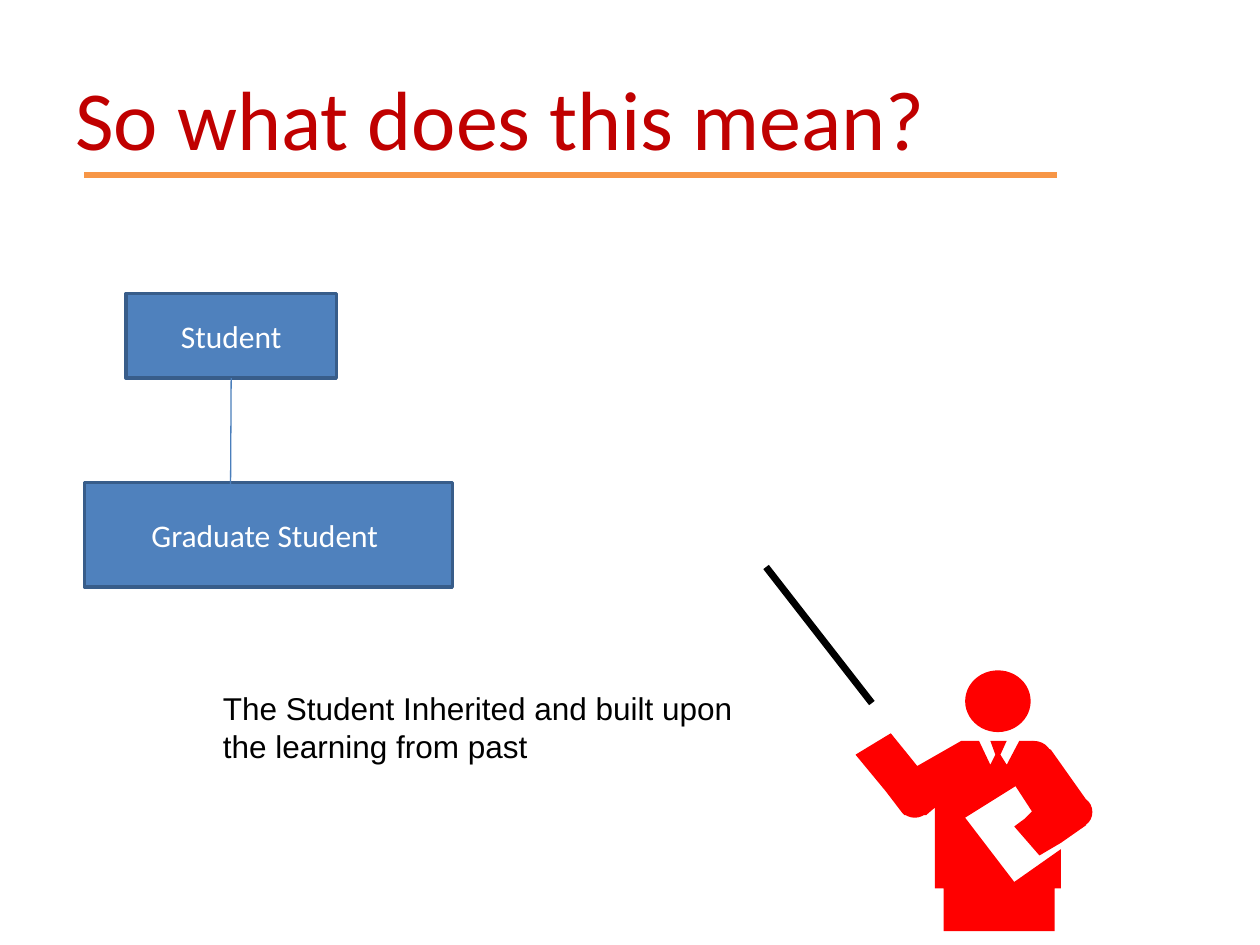
from pptx import Presentation
from pptx.dml.color import RGBColor
from pptx.enum.shapes import MSO_CONNECTOR, MSO_SHAPE
from pptx.enum.text import MSO_ANCHOR, PP_ALIGN
from pptx.oxml.ns import qn
from pptx.util import Inches, Pt
from lxml import etree

DARK_RED = RGBColor(0xC0, 0x00, 0x00)
ORANGE = RGBColor(0xF7, 0x96, 0x46)
BLUE = RGBColor(0x4F, 0x81, 0xBD)
BLUE_EDGE = RGBColor(0x38, 0x5D, 0x8A)
BLUE_LINE = RGBColor(0x4A, 0x7E, 0xBB)
RED = RGBColor(0xFF, 0x00, 0x00)
BLACK = RGBColor(0x00, 0x00, 0x00)
WHITE = RGBColor(0xFF, 0xFF, 0xFF)


def write_text(shape, text, size, font, color, anchor, align=PP_ALIGN.LEFT):
    text_frame = shape.text_frame
    text_frame.text = text
    text_frame.word_wrap = True
    text_frame.vertical_anchor = anchor
    paragraph = text_frame.paragraphs[0]
    paragraph.alignment = align
    run = paragraph.runs[0]
    run.font.size = Pt(size)
    run.font.name = font
    run.font.color.rgb = color


def add_line(shapes, start, end, color, width):
    line = shapes.add_connector(MSO_CONNECTOR.STRAIGHT, *map(Inches, start + end))
    line.line.color.rgb = color
    line.line.width = Pt(width)
    etree.SubElement(line._element.spPr, qn("a:effectLst"))
    return line


presentation = Presentation()
presentation.slide_width = Inches(10)
presentation.slide_height = Inches(7.5)
slide = presentation.slides.add_slide(presentation.slide_layouts[6])
shapes = slide.shapes

# Title and its underline
title = shapes.add_textbox(Inches(0.5), Inches(0.3), Inches(9), Inches(1.25))
write_text(title, "So what does this mean?", 48, "Calibri", DARK_RED, MSO_ANCHOR.MIDDLE)
add_line(shapes, (0.67, 1.39), (8.39, 1.39), ORANGE, 3)

# Class boxes
class_boxes = []
for name, position in (
    ("Student", (1, 2.33, 1.67, 0.67)),
    ("Graduate Student ", (0.67, 3.83, 2.92, 0.83)),
):
    box = shapes.add_shape(MSO_SHAPE.RECTANGLE, *map(Inches, position))
    box.shadow.inherit = False
    box.fill.solid()
    box.fill.fore_color.rgb = BLUE
    box.line.color.rgb = BLUE_EDGE
    box.line.width = Pt(2)
    write_text(box, name, 18, "Calibri", WHITE, MSO_ANCHOR.MIDDLE, PP_ALIGN.CENTER)
    class_boxes.append(box)

# Inheritance line
inheritance = add_line(shapes, (1.83, 3), (1.83, 3.84), BLUE_LINE, 0.75)
inheritance.begin_connect(class_boxes[0], 2)

# Presenter figure: body outline, then head, shoulder and elbows
presenter = shapes.add_group_shape()
body_outline = [
    (8.09, 5.88), (8.19, 5.88), (8.34, 5.95), (8.63, 6.36), (8.62, 6.55),
    (8.42, 6.69), (8.25, 6.79), (8.05, 6.56), (8.13, 6.5), (8.19, 6.44),
    (8.06, 6.24), (7.66, 6.49), (8.05, 7), (8.42, 6.74), (8.42, 7.05),
    (8.37, 7.05), (8.37, 7.39), (7.49, 7.39), (7.49, 7.05), (7.42, 7.05),
    (7.42, 6.41), (7.35, 6.47), (7.18, 6.47), (7.16, 6.45), (7.03, 6.28),
    (6.79, 5.99), (7.07, 5.82), (7.24, 6.03), (7.28, 6.08), (7.63, 5.88),
    (7.77, 5.88), (7.86, 6.07), (7.9, 5.99), (7.86, 5.88), (7.99, 5.88),
    (7.94, 5.99), (7.99, 6.07),
]
body_points = [(Inches(x), Inches(y)) for x, y in body_outline]
builder = presenter.shapes.build_freeform(*body_points[0])
builder.add_line_segments(body_points[1:], close=True)
figure_parts = [builder.convert_to_shape()]
for position in (
    (7.66, 5.32, 0.52, 0.49),
    (8.06, 5.88, 0.28, 0.22),
    (8.47, 6.33, 0.2, 0.23),
    (7.15, 6.32, 0.22, 0.17),
):
    figure_parts.append(presenter.shapes.add_shape(MSO_SHAPE.OVAL, *map(Inches, position)))
for part in figure_parts:
    part.shadow.inherit = False
    part.fill.solid()
    part.fill.fore_color.rgb = RED
    part.line.fill.background()

# Pointer stick
add_line(presenter.shapes, (6.92, 5.58), (6.08, 4.5), BLACK, 4)

# Explanation
explanation = shapes.add_textbox(Inches(1.67), Inches(5.42), Inches(4.58), Inches(0.7))
write_text(explanation, "The Student Inherited and built upon the learning from past",
           18, "Arial", BLACK, MSO_ANCHOR.TOP)

presentation.save("out.pptx")
